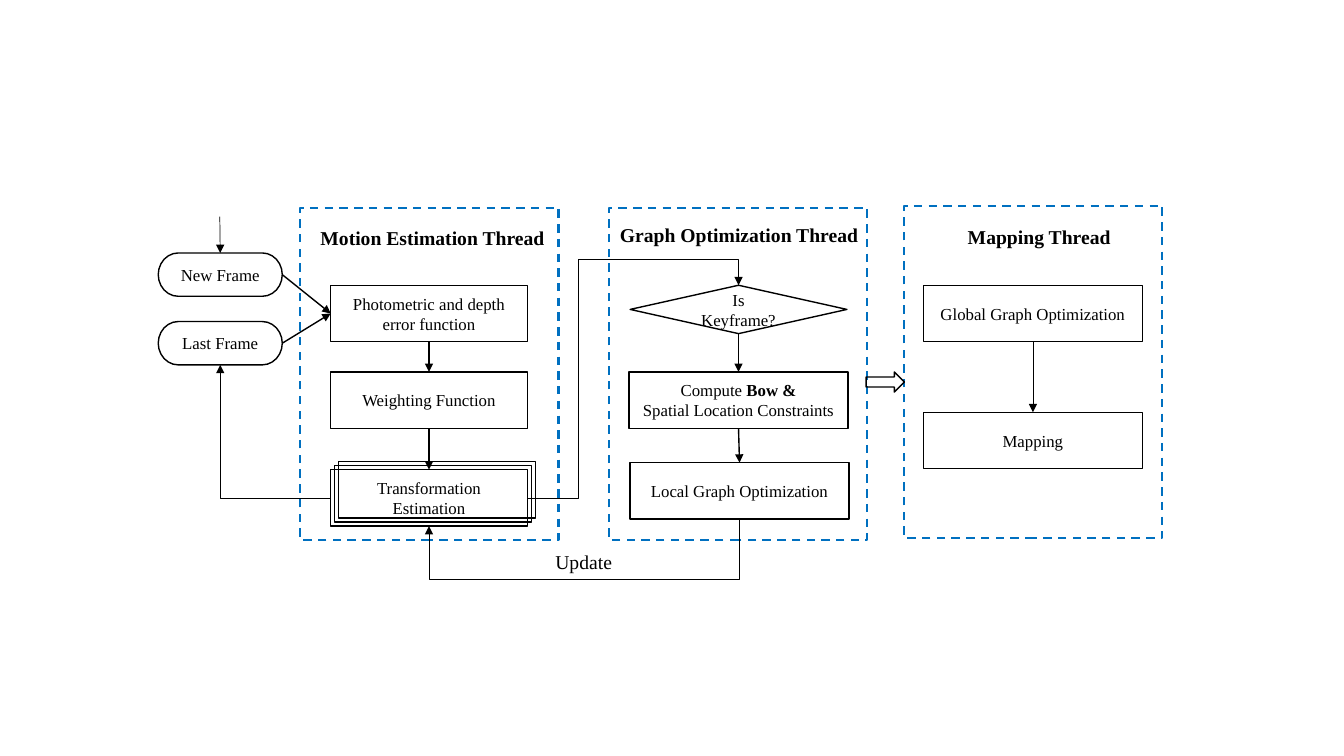
from pptx import Presentation
from pptx.dml.color import RGBColor
from pptx.enum.dml import MSO_LINE
from pptx.enum.shapes import MSO_CONNECTOR, MSO_SHAPE
from pptx.enum.text import MSO_ANCHOR, MSO_AUTO_SIZE, PP_ALIGN
from pptx.oxml.ns import qn
from pptx.util import Inches, Pt
from lxml.etree import SubElement

BLACK = RGBColor(0x00, 0x00, 0x00)
BLUE = RGBColor(0x00, 0x70, 0xC0)
FONT = "Times New Roman"
TOP, LEFT, BOTTOM, RIGHT = range(4)
BOX_H = 0.56
STEP_W, TASK_W = 1.95, 2.17


class Flowchart:
    """Draws flowchart elements in one style on one slide."""

    def __init__(self, slide):
        self.s = slide

    def format_runs(self, p, size, bold=False):
        for r in p.runs:
            r.font.name = FONT
            r.font.size = Pt(size)
            r.font.bold = bold
            r.font.color.rgb = BLACK

    def node(self, x, y, w, h=BOX_H, text="", kind=MSO_SHAPE.RECTANGLE):
        sp = self.s.shapes.add_shape(kind, Inches(x), Inches(y), Inches(w), Inches(h))
        sp.shadow.inherit = False
        sp.fill.background()
        sp.line.color.rgb = BLACK
        sp.line.width = Pt(1)
        if text:
            tf = sp.text_frame
            tf.text = text
            tf.word_wrap = True
            tf.vertical_anchor = MSO_ANCHOR.MIDDLE
            for p in tf.paragraphs:
                p.alignment = PP_ALIGN.CENTER
                self.format_runs(p, 12)
        return sp

    def thread(self, x, y):
        sp = self.node(x, y, 2.56, 3.3)
        sp.line.color.rgb = BLUE
        sp.line.width = Pt(1.5)
        sp.line.dash_style = MSO_LINE.DASH

    def label(self, x, y, w, text, bold=True):
        sp = self.s.shapes.add_textbox(Inches(x), Inches(y), Inches(w), Inches(0.34))
        tf = sp.text_frame
        tf.text = text
        tf.word_wrap = False
        tf.auto_size = MSO_AUTO_SIZE.SHAPE_TO_FIT_TEXT
        self.format_runs(tf.paragraphs[0], 14, bold)

    def arrow(self, start, end, sites=(BOTTOM, TOP), width=1.0, kind=MSO_CONNECTOR.STRAIGHT):
        c = self.s.shapes.add_connector(kind, 0, 0, 0, 0)
        if isinstance(start, tuple):
            c.begin_x, c.begin_y = (Inches(v) for v in start)
        else:
            c.begin_connect(start, sites[0])
        c.end_connect(end, sites[1])
        c.line.color.rgb = BLACK
        c.line.width = Pt(width)
        SubElement(c.line._get_or_add_ln(), qn("a:tailEnd"), type="triangle")
        SubElement(c._element.spPr, qn("a:effectLst"))
        return c

    def elbow(self, start, end, sites, preset, adjusts=(), turned=False):
        c = self.arrow(start, end, sites, 0.5, MSO_CONNECTOR.ELBOW)
        geom = c._element.spPr.find(qn("a:prstGeom"))
        geom.set("prst", preset)
        guides = geom.find(qn("a:avLst"))
        for i, value in enumerate(adjusts, 1):
            SubElement(guides, qn("a:gd"), name=f"adj{i}", fmla=f"val {round(value * 100000)}")
        if turned:
            shift = (c.width - c.height) // 2
            c.left, c.top, c.width, c.height = (
                c.left + shift, c.top - shift, c.height, c.width)
            xfrm = c._element.spPr.find(qn("a:xfrm"))
            xfrm.attrib.pop("flipH", None)
            xfrm.set("rot", "5400000")


def main():
    prs = Presentation()
    prs.slide_width, prs.slide_height = Inches(13.33), Inches(7.5)
    f = Flowchart(prs.slides.add_slide(prs.slide_layouts[6]))

    for x, y in ((2.98, 2.06), (6.04, 2.06), (8.97, 2.04)):
        f.thread(x, y)

    new_frame, last_frame = [
        f.node(1.57, y, 1.23, 0.43, text, MSO_SHAPE.FLOWCHART_TERMINATOR)
        for y, text in ((2.51, "New Frame"), (3.19, "Last Frame"))]
    error, weighting, transform = [
        f.node(3.28, y, STEP_W, text=text)
        for y, text in ((2.83, "Photometric and depth error function"),
                        (3.69, "Weighting Function"),
                        (4.66, "Transformation Estimation"))]
    for i in (1, 2):
        f.node(3.28 + 0.04 * i, 4.66 - 0.04 * i, STEP_W)

    keyframe = f.node(6.25, 2.83, 2.15, 0.48, "Is Keyframe?", MSO_SHAPE.DIAMOND)
    constraints = f.node(6.24, 3.69, TASK_W, text="Compute \nSpatial Location Constraints")
    p = constraints.text_frame.paragraphs[0]
    r = p.add_run()
    r.text = "Bow &"
    f.format_runs(p, 12)
    r.font.bold = True
    local = f.node(6.25, 4.59, TASK_W, text="Local Graph Optimization")
    global_opt, mapping = [
        f.node(9.16, y, TASK_W, text=text)
        for y, text in ((2.83, "Global Graph Optimization"), (4.09, "Mapping"))]
    f.node(8.59, 3.69, 0.38, 0.2, kind=MSO_SHAPE.RIGHT_ARROW)

    for start, end in ((error, weighting), (weighting, transform),
                       (keyframe, constraints), (constraints, local)):
        f.arrow(start, end)
    for frame in (new_frame, last_frame):
        f.arrow(frame, error, (RIGHT, LEFT))
    f.arrow(global_opt, mapping, width=0.5)
    f.arrow((2.18, 2.15), new_frame, width=0.5)
    f.elbow(transform, keyframe, (RIGHT, TOP), "bentConnector4", (0.24, 1.12))
    f.elbow(transform, last_frame, (LEFT, BOTTOM), "bentConnector2")
    f.elbow(local, transform, (BOTTOM, BOTTOM), "bentConnector3", (8.57,), turned=True)

    f.label(3.08, 2.19, 2.44, "Motion Estimation Thread")
    f.label(6.05, 2.16, 2.58, "Graph Optimization Thread")
    f.label(9.5, 2.18, 1.63, "Mapping Thread")
    f.label(5.41, 5.41, 0.77, "Update", bold=False)
    prs.save("out.pptx")


if __name__ == "__main__":
    main()
